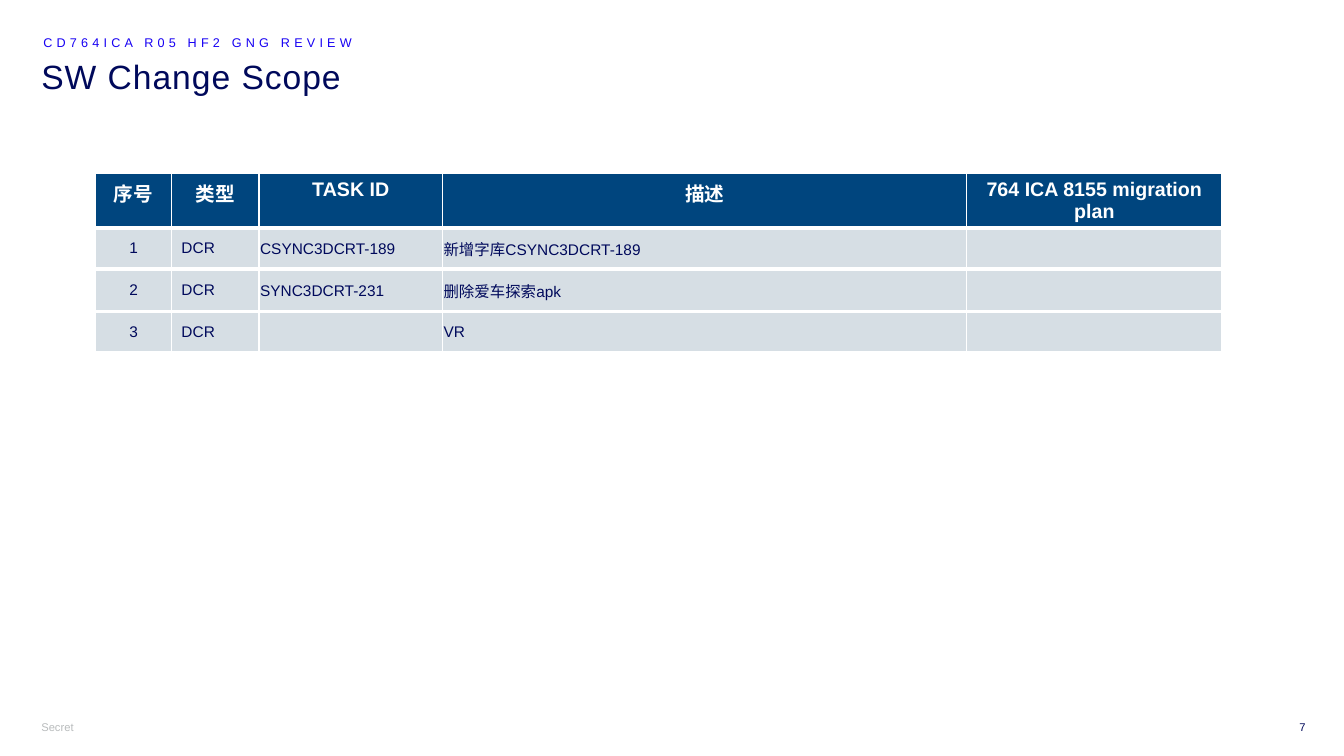
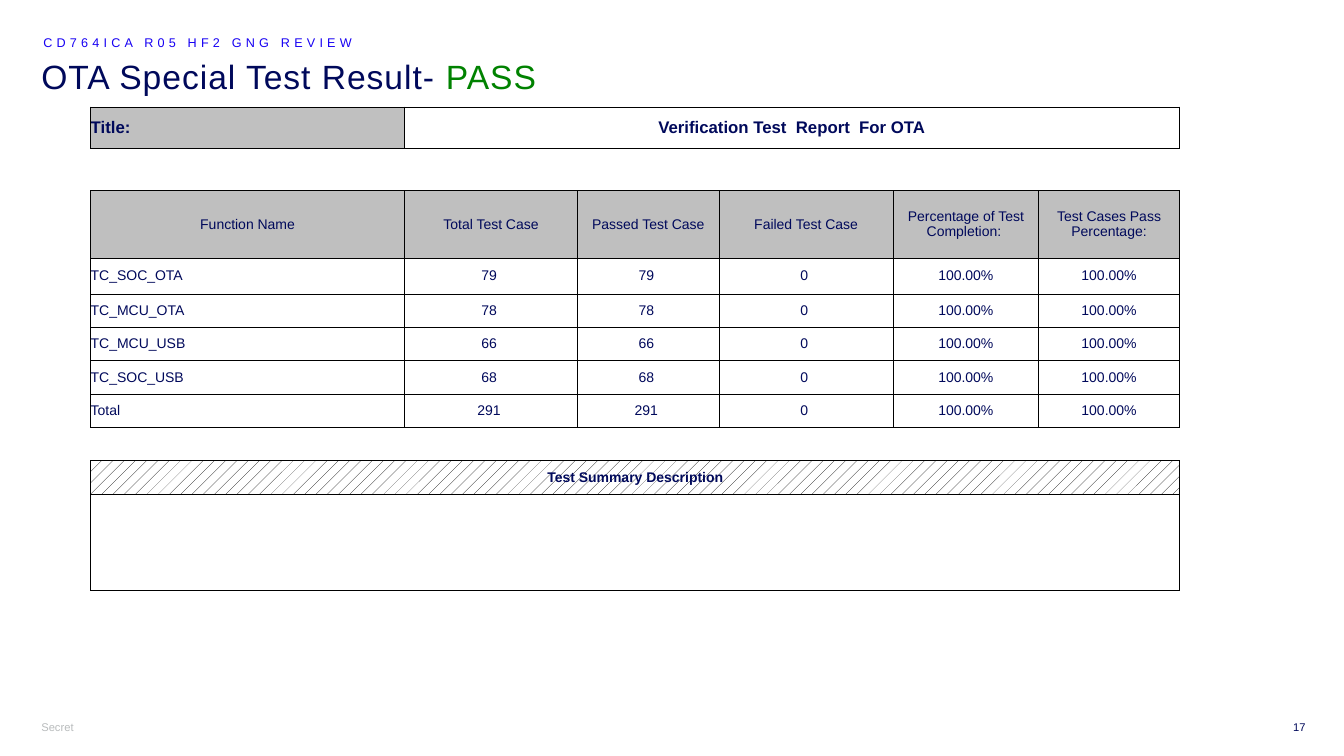
"""Builds the change scope and test result slides of a software release review."""
from lxml.etree import SubElement
from pptx import Presentation
from pptx.dml.color import RGBColor
from pptx.enum.dml import MSO_PATTERN as Pattern
from pptx.enum.text import MSO_ANCHOR as Anchor, MSO_AUTO_SIZE as Fit, PP_ALIGN as Align
from pptx.oxml.ns import qn
from pptx.util import Inches, Pt

FONT = "Arial"
HUES = {"ink": "00095B", "kicker": "1700F3", "pass": "008200", "mute": "B9BCBD",
        "white": "FFFFFF", "black": "000000", "head": "00457E", "row": "D6DEE4",
        "label": "C0C0C0", "gray": "BFBFBF"}
KICKER = "CD764ICA R05 HF2 GNG REVIEW"

SCOPE = {
    "title": [("SW Change Scope", "ink")], "page": "7",
    "at": (0.95, 1.72),
    "cols": [0.75, 0.87, 1.82, 5.2, 2.53],
    "rows": [0.54, 0.41, 0.42, 0.41],
    "cells": [
        ["序号", "类型", "TASK ID", "描述", "764 ICA 8155 migration plan"],
        ["1", "DCR", "CSYNC3DCRT-189", "新增字库CSYNC3DCRT-189", ""],
        ["2", "DCR", "SYNC3DCRT-231", "删除爱车探索apk", ""],
        ["3", "DCR", "", "VR", ""],
    ],
}
TESTS = [("TC_SOC_OTA", 79), ("TC_MCU_OTA", 78), ("TC_MCU_USB", 66), ("TC_SOC_USB", 68)]
TESTS.append(("Total", sum(count for _, count in TESTS)))
RESULT = {
    "title": [("OTA Special Test Result- ", "ink"), ("PASS", "pass")], "page": "17",
    "at": (0.9, 1.06),
    "cols": [3.11, 1.72, 1.4, 1.73, 1.44, 1.4],
    "rows": [0.41, 0.42, 0.67, 0.36, 0.33, 0.33, 0.33, 0.33, 0.33, 0.34, 0.95],
    "cells": [
        ["Title:", "Verification Test  Report  For OTA"],
        [""],
        ["Function Name", "Total Test Case", "Passed Test Case", "Failed Test Case",
         "Percentage of Test Completion: ", "Test Cases Pass Percentage:"],
        *[[name, f"{count} ", f"{count} ", "0 ", "100.00%", "100.00%"]
          for name, count in TESTS],
        [""],
        ["Test Summary Description"],
        [""],
    ],
}


def color(name):
    return RGBColor.from_string(HUES[name])


def write(frame, runs, size=11, hue="ink", bold=False, align=Align.LEFT,
          track=0, lead=None, wrap=True):
    """Fills the first paragraph with text, or with (text, hue) runs."""
    frame.word_wrap = wrap
    para = frame.paragraphs[0]
    para.alignment, para.line_spacing = align, lead
    para.space_before = Pt(0)
    for text, tone in [(runs, hue)] if isinstance(runs, str) else runs:
        run = para.add_run()
        run.text = text
        run.font.name, run.font.size, run.font.bold = FONT, Pt(size), bold
        run.font.color.rgb = color(tone)
        if track:
            run._r.get_or_add_rPr().set("spc", str(round(track * 100)))


def place(shape, left, top, width, height, right=0):
    """Sets the place and insets of a text shape."""
    shape.left, shape.top = Inches(left), Inches(top)
    shape.width, shape.height = Inches(width), Inches(height)
    frame = shape.text_frame
    frame.auto_size, frame.vertical_anchor = Fit.NONE, Anchor.TOP
    frame.margin_left, frame.margin_right = 0, Inches(right)
    frame.margin_top = frame.margin_bottom = Inches(0.05)
    return frame


def edge(cell, hue, sides):
    """Draws the sides given as a dict of widths; zero hides a side."""
    props = cell._tc.get_or_add_tcPr()
    for side in "LRTB":
        line = SubElement(props, qn("a:ln" + side), w=str(Pt(sides[side])))
        if sides[side]:
            fill = SubElement(line, qn("a:solidFill"))
            SubElement(fill, qn("a:srgbClr"), val=HUES[hue])
        else:
            SubElement(line, qn("a:noFill"))


def pad(cell, left, top, bottom):
    cell.margin_left = cell.margin_right = Inches(left)
    cell.margin_top, cell.margin_bottom = Inches(top), Inches(bottom)


def paint(cell, hue):
    if hue:
        cell.fill.solid()
        cell.fill.fore_color.rgb = color(hue)
    else:
        cell.fill.background()


def start(deck, data):
    """Adds a slide with its title, kicker, footer and empty table."""
    slide = deck.slides.add_slide(deck.slide_layouts[1])
    title, body = slide.placeholders
    write(place(title, 0.41, 0.55, 11.5, 0.75), data["title"], size=24, track=0.7, lead=0.9)
    frame = place(body, 0.43, 0.31, 5.95, 0.24)
    props = frame.paragraphs[0]._p.get_or_add_pPr()
    props.set("marL", "0")
    props.set("indent", "0")
    SubElement(props, qn("a:buNone"))
    write(frame, KICKER, size=9, hue="kicker", track=3, lead=0.9)
    mark = slide.shapes.add_textbox(0, 0, 0, 0)
    write(place(mark, 0.41, 7.1, 0.43, 0.24, right=0.1), "Secret", size=8, hue="mute", wrap=False)
    page = slide.shapes.add_textbox(0, 0, 0, 0)
    write(place(page, 12.6, 7.1, 0.35, 0.24), data["page"], size=8, align=Align.RIGHT)

    cols, rows = data["cols"], data["rows"]
    left, top = data["at"]
    table = slide.shapes.add_table(len(rows), len(cols), Inches(left), Inches(top),
                                   Inches(sum(cols)), Inches(sum(rows))).table
    table.first_row = table.horz_banding = False
    for col, width in zip(table.columns, cols):
        col.width = Inches(width)
    for row, height in zip(table.rows, rows):
        row.height = Inches(height)
    return table


def scope(deck):
    table = start(deck, SCOPE)
    for r, row in enumerate(SCOPE["cells"]):
        for c, text in enumerate(row):
            cell, head = table.cell(r, c), r == 0
            edge(cell, "white", {"L": 1, "R": 1, "T": 1 if head else 3, "B": 3})
            paint(cell, "head" if head else "row")
            cell.vertical_anchor = Anchor.TOP if head else Anchor.MIDDLE
            pad(cell, *((0.1, 0.05, 0.05) if head or c < 2 else (0.01, 0.01, 0)))
            if text:
                write(cell.text_frame, text, size=14 if head else 11, bold=head,
                      hue="white" if head else "ink",
                      align=Align.CENTER if head or c == 0 else Align.LEFT)


def result(deck):
    table = start(deck, RESULT)
    last = len(RESULT["cols"]) - 1
    gaps, summary = (1, 8), 9
    for r, row in enumerate(RESULT["cells"]):
        side = 0 if r in gaps else 0.5
        for c in range(last + 1):
            cell = table.cell(r, c)
            edge(cell, "black", {"L": side, "R": side, "T": 0.5, "B": 0.5})
            paint(cell, "gray" if r == 2 else "label" if (r, c) == (0, 0) else None)
            if r == summary:
                cell.fill.patterned()
                cell.fill.pattern = Pattern.PERCENT_10
                cell.fill.fore_color.rgb = color("black")
                cell.fill.back_color.rgb = color("white")
            pad(cell, 0, 0, 0)
            cell.vertical_anchor = Anchor.MIDDLE
        if len(row) <= last:
            table.cell(r, len(row) - 1).merge(table.cell(r, last))
        for c, text in enumerate(row):
            if text:
                name = c == 0 and r not in (2, summary)
                write(table.cell(r, c).text_frame, text, size=12 if r == 0 else 10,
                      bold=r in (0, summary), align=Align.LEFT if name else Align.CENTER)


def main():
    deck = Presentation()
    deck.slide_width, deck.slide_height = Inches(13.33), Inches(7.5)
    scope(deck)
    result(deck)
    deck.save("out.pptx")


if __name__ == "__main__":
    main()
